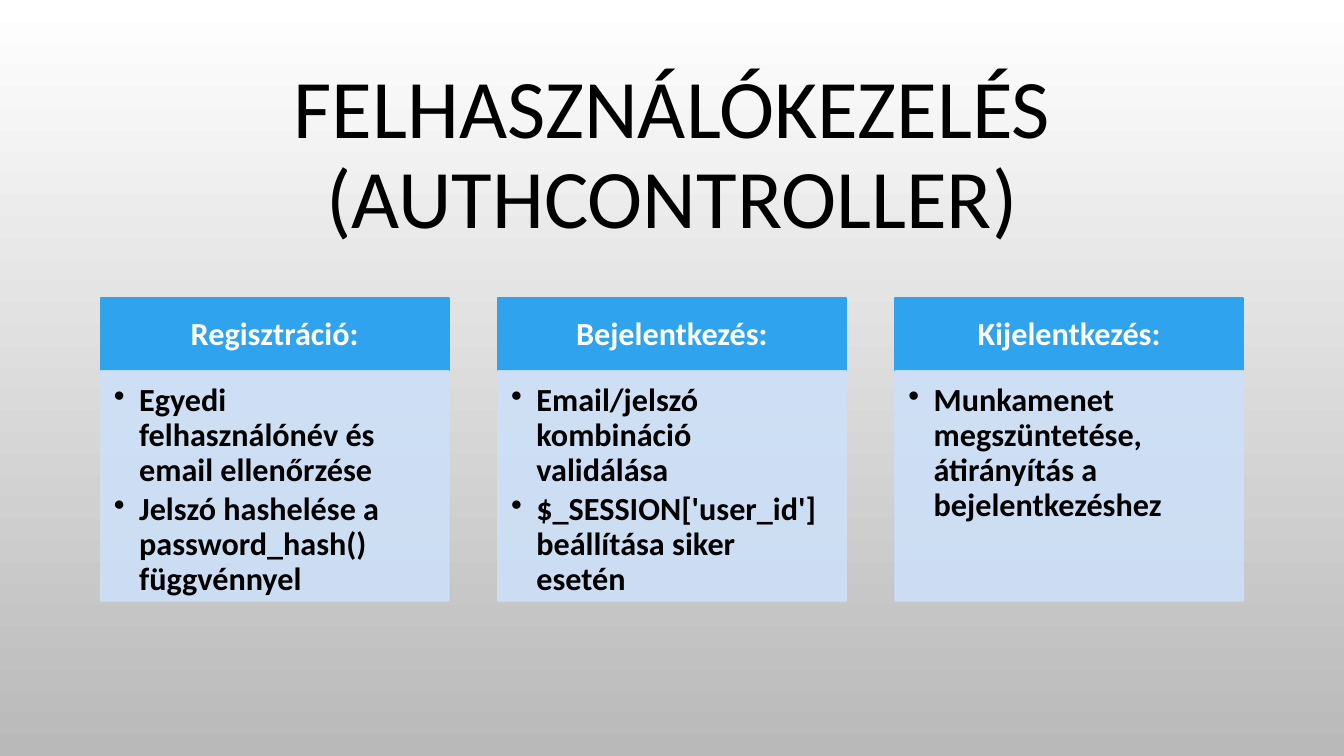
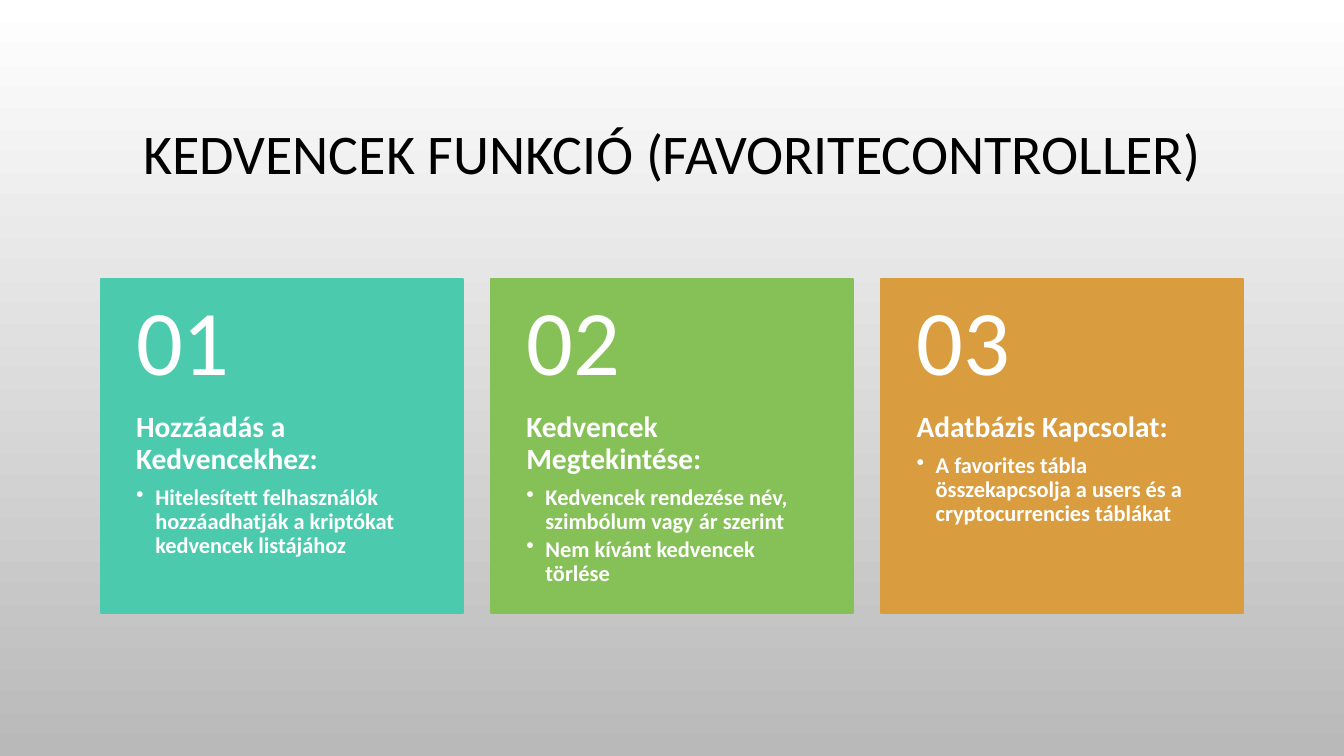
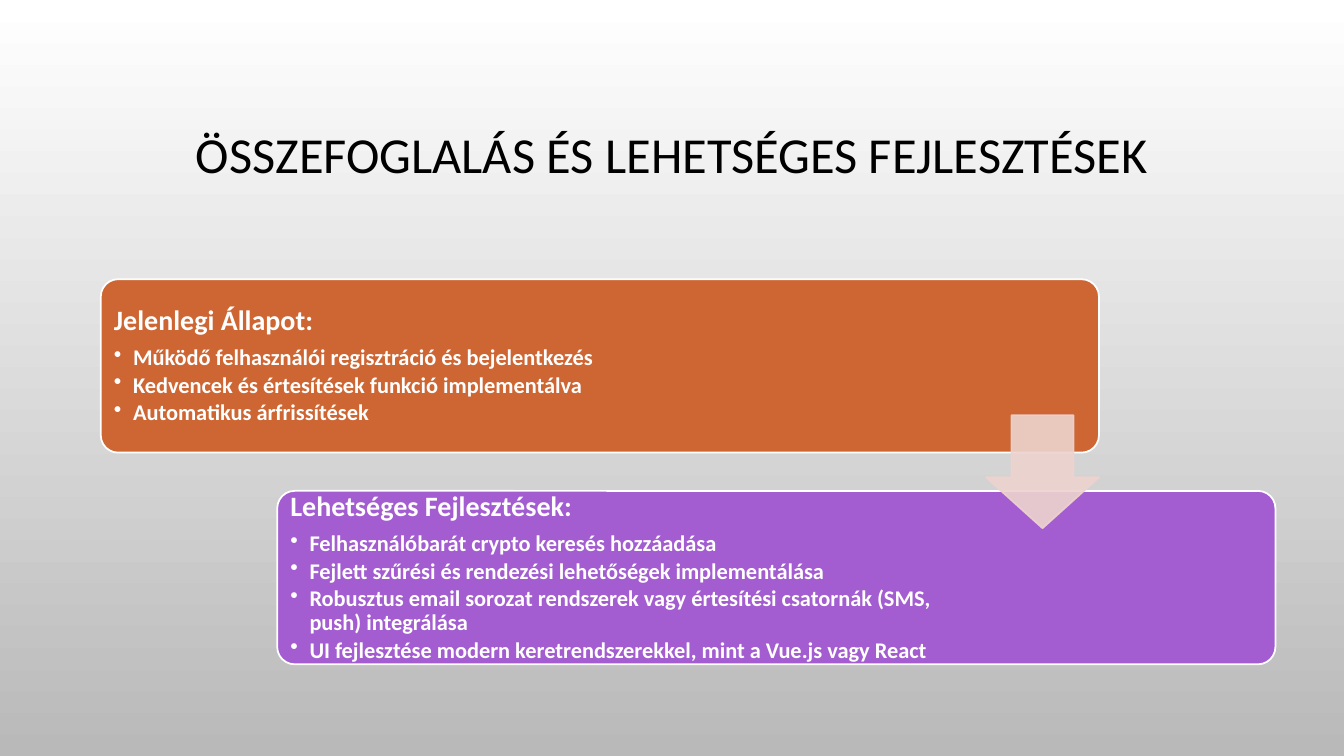
from dataclasses import dataclass
from typing import Any, NamedTuple, Optional

from lxml import etree
from pptx import Presentation
from pptx.dml.color import RGBColor
from pptx.enum.shapes import MSO_SHAPE
from pptx.enum.text import MSO_ANCHOR, PP_ALIGN
from pptx.oxml.ns import qn
from pptx.util import Inches, Pt

RECT, ROUND_RECT = MSO_SHAPE.RECTANGLE, MSO_SHAPE.ROUNDED_RECTANGLE
DOWN_ARROW = MSO_SHAPE.DOWN_ARROW
LEFT, CENTER = PP_ALIGN.LEFT, PP_ALIGN.CENTER
TOP, MIDDLE = MSO_ANCHOR.TOP, MSO_ANCHOR.MIDDLE


@dataclass(frozen=True)
class Theme:
    font: str = "Calibri"
    black: str = "000000"
    white: str = "FFFFFF"
    backdrop_end: str = "B9B9B9"
    header: str = "2FA3EE"
    pale: str = "CDE0F8"
    teal: str = "4BCAAD"
    green: str = "86C157"
    amber: str = "D99C3F"
    rust: str = "CE6633"
    purple: str = "A35DD1"
    arrow: str = "EDD3CE"
    pale_opacity: int = 90
    outline: float = 1.25
    line_spacing: float = 0.9
    heading_gap: float = 0.35
    bullet_gap: float = 0.15
    column_size: float = 23
    number_size: float = 66
    card_heading_size: float = 21
    panel_heading_size: float = 20
    bullet_size: float = 16


THEME = Theme()


class Box(NamedTuple):
    left: float
    top: float
    width: float
    height: float


class Insets(NamedTuple):
    left: float
    top: float
    right: float
    bottom: float


class Line(NamedTuple):
    text: str
    size: float
    color: str = THEME.white
    bold: bool = True
    align: Any = LEFT
    gap: float = THEME.heading_gap  # space after, as a share of the size
    indent: float = 0  # hanging indent; above zero means a bullet


class Topic(NamedTuple):
    heading: str
    bullets: list[str]
    color: str = THEME.header
    right_inset: float = 0


CONTENT_LEFT, CONTENT_WIDTH = 1, 11.33
TITLE_BOX = Box(CONTENT_LEFT, 0.68, CONTENT_WIDTH, 1.75)

ACCOUNT_TOPICS = [
    Topic("Regisztráció:", ["Egyedi felhasználónév és email ellenőrzése",
                            "Jelszó hashelése a password_hash() függvénnyel"]),
    Topic("Bejelentkezés:", ["Email/jelszó kombináció validálása",
                             "$_SESSION['user_id'] beállítása siker esetén"]),
    Topic("Kijelentkezés:", ["Munkamenet megszüntetése, átirányítás a bejelentkezéshez"]),
]
FAVORITE_TOPICS = [
    Topic("Hozzáadás a Kedvencekhez:",
          ["Hitelesített felhasználók hozzáadhatják a kriptókat kedvencek listájához"],
          THEME.teal),
    Topic("Kedvencek Megtekintése:",
          ["Kedvencek rendezése név, szimbólum vagy ár szerint",
           "Nem kívánt kedvencek törlése"], THEME.green),
    Topic("Adatbázis Kapcsolat:",
          ["A favorites tábla összekapcsolja a users és a cryptocurrencies táblákat"],
          THEME.amber),
]
SUMMARY_TOPICS = [
    Topic("Jelenlegi Állapot:",
          ["Működő felhasználói regisztráció és bejelentkezés",
           "Kedvencek és értesítések funkció implementálva",
           "Automatikus árfrissítések"], THEME.rust, 1.76),
    Topic("Lehetséges Fejlesztések:",
          ["Felhasználóbarát crypto keresés hozzáadása",
           "Fejlett szűrési és rendezési lehetőségek implementálása",
           "Robusztus email sorozat rendszerek vagy értesítési csatornák (SMS, push) integrálása",
           "UI fejlesztése modern keretrendszerekkel, mint a Vue.js vagy React"],
          THEME.purple, 2.95),
]


# Shared drawing helpers
def apply_format(target: Any, values: dict[str, Any]) -> None:
    for name, value in values.items():
        setattr(target, name, value)


def columns(count: int, gap: float, top: float, height: float) -> list[Box]:
    width = (CONTENT_WIDTH - gap * (count - 1)) / count
    return [Box(CONTENT_LEFT + i * (width + gap), top, width, height) for i in range(count)]


def write(shape: Any, lines: list[Line], insets: Insets, anchor: Any) -> None:
    frame = shape.text_frame
    apply_format(frame, {"word_wrap": True, "vertical_anchor": anchor})
    apply_format(frame, {f"margin_{side}": Inches(value)
                         for side, value in insets._asdict().items()})
    for i, line in enumerate(lines):
        paragraph = frame.add_paragraph() if i else frame.paragraphs[0]
        apply_format(paragraph, {"alignment": line.align,
                                 "line_spacing": THEME.line_spacing,
                                 "space_after": Pt(line.size * line.gap)})
        run = paragraph.add_run()
        run.text = line.text
        apply_format(run.font, {"name": THEME.font, "size": Pt(line.size), "bold": line.bold})
        run.font.color.rgb = RGBColor.from_string(line.color)
        if line.indent:
            properties = paragraph._p.get_or_add_pPr()
            properties.set("marL", str(Inches(line.indent)))
            properties.set("indent", str(-Inches(line.indent)))
            etree.SubElement(properties, qn("a:buChar")).set("char", "•")


def add_block(slide: Any, kind: Any, box: Box, fill: str,
              outline: Optional[str] = None, opacity: int = 100,
              adjustments: tuple[float, ...] = ()) -> Any:
    block = slide.shapes.add_shape(kind, *map(Inches, box))
    block.shadow.inherit = False
    block.fill.solid()
    block.fill.fore_color.rgb = RGBColor.from_string(fill)
    block.line.color.rgb = RGBColor.from_string(outline or fill)
    block.line.width = Pt(THEME.outline)
    for i, value in enumerate(adjustments):
        block.adjustments[i] = value
    if opacity < 100:
        for color in block._element.spPr.iter(qn("a:srgbClr")):
            etree.SubElement(color, qn("a:alpha")).set("val", str(opacity * 1000))
    return block


def add_text(slide: Any, box: Box, line: Line, insets: Insets) -> None:
    write(slide.shapes.add_textbox(*map(Inches, box)), [line], insets, MIDDLE)


def bullet_lines(topic: Topic, size: float, color: str, indent: float) -> list[Line]:
    return [Line(text, size, color, gap=THEME.bullet_gap, indent=indent)
            for text in topic.bullets]


def topic_lines(topic: Topic, heading_size: float) -> list[Line]:
    return [Line(topic.heading, heading_size),
            *bullet_lines(topic, THEME.bullet_size, THEME.white, 0.19)]


def new_slide(deck: Any, title: str, size: float) -> Any:
    slide = deck.slides.add_slide(deck.slide_layouts[6])
    backdrop = slide.background.fill
    backdrop.gradient()
    backdrop.gradient_angle = 270
    for stop, position, color in zip(backdrop.gradient_stops, (0, 1),
                                     (THEME.white, THEME.backdrop_end)):
        stop.position = position
        stop.color.rgb = RGBColor.from_string(color)
    add_text(slide, TITLE_BOX, Line(title, size, THEME.black, False, CENTER, 0),
             Insets(0.1, 0.05, 0.1, 0.05))
    return slide


# User accounts: three headed columns
def accounts_slide(deck: Any) -> None:
    slide = new_slide(deck, "FELHASZNÁLÓKEZELÉS (AUTHCONTROLLER)", 59.4)
    for topic, header_box in zip(ACCOUNT_TOPICS, columns(3, 0.49, 2.96, 0.72)):
        header = add_block(slide, RECT, header_box, THEME.header)
        write(header, [Line(topic.heading, THEME.column_size, align=CENTER)],
              Insets(0.18, 0.1, 0.18, 0.1), MIDDLE)
        body_box = header_box._replace(top=header_box.top + header_box.height, height=2.28)
        body = add_block(slide, RECT, body_box, THEME.pale, opacity=THEME.pale_opacity)
        write(body, bullet_lines(topic, THEME.column_size, THEME.black, 0.25),
              Insets(0.13, 0.13, 0.18, 0.2), TOP)


# Favourites: three numbered cards
def favorites_slide(deck: Any) -> None:
    slide = new_slide(deck, "KEDVENCEK FUNKCIÓ (FAVORITECONTROLLER)", 40)
    number_height = 1.32
    cards = zip(FAVORITE_TOPICS, columns(3, 0.28, 2.77, 3.31))
    for number, (topic, card_box) in enumerate(cards, 1):
        card = add_block(slide, RECT, card_box, topic.color)
        write(card, topic_lines(topic, THEME.card_heading_size),
              Insets(0.35, number_height, 0.35, 0.36), TOP)
        add_text(slide, card_box._replace(height=number_height),
                 Line(f"{number:02}", THEME.number_size, bold=False),
                 Insets(0.35, 0.18, 0.35, 0.18))


# Summary: two stepped panels joined by an arrow
def summary_slide(deck: Any) -> None:
    slide = new_slide(deck, "ÖSSZEFOGLALÁS ÉS LEHETSÉGES FEJLESZTÉSEK", 36)
    first = Box(CONTENT_LEFT, 2.77, 9.9, 1.72)
    step_right, step_down, arrow_size = 1.75, 2.1, 1.12
    for i, topic in enumerate(SUMMARY_TOPICS):
        panel_box = first._replace(left=first.left + i * step_right,
                                   top=first.top + i * step_down)
        panel = add_block(slide, ROUND_RECT, panel_box, topic.color, THEME.white,
                          adjustments=(0.1,))
        write(panel, topic_lines(topic, THEME.panel_heading_size),
              Insets(0.08, 0.08, topic.right_inset, 0.08), MIDDLE)
    gap_middle = first.top + (first.height + step_down) / 2
    arrow_box = Box(first.left + first.width - arrow_size, gap_middle - arrow_size / 2,
                    arrow_size, arrow_size)
    # The first value sets the shaft width, the second the head length
    add_block(slide, DOWN_ARROW, arrow_box, THEME.arrow, opacity=THEME.pale_opacity,
              adjustments=(0.55, 0.45))


def main() -> None:
    deck = Presentation()
    apply_format(deck, {"slide_width": Inches(13.33), "slide_height": Inches(7.5)})
    for build in (accounts_slide, favorites_slide, summary_slide):
        build(deck)
    deck.save("out.pptx")


if __name__ == "__main__":
    main()
